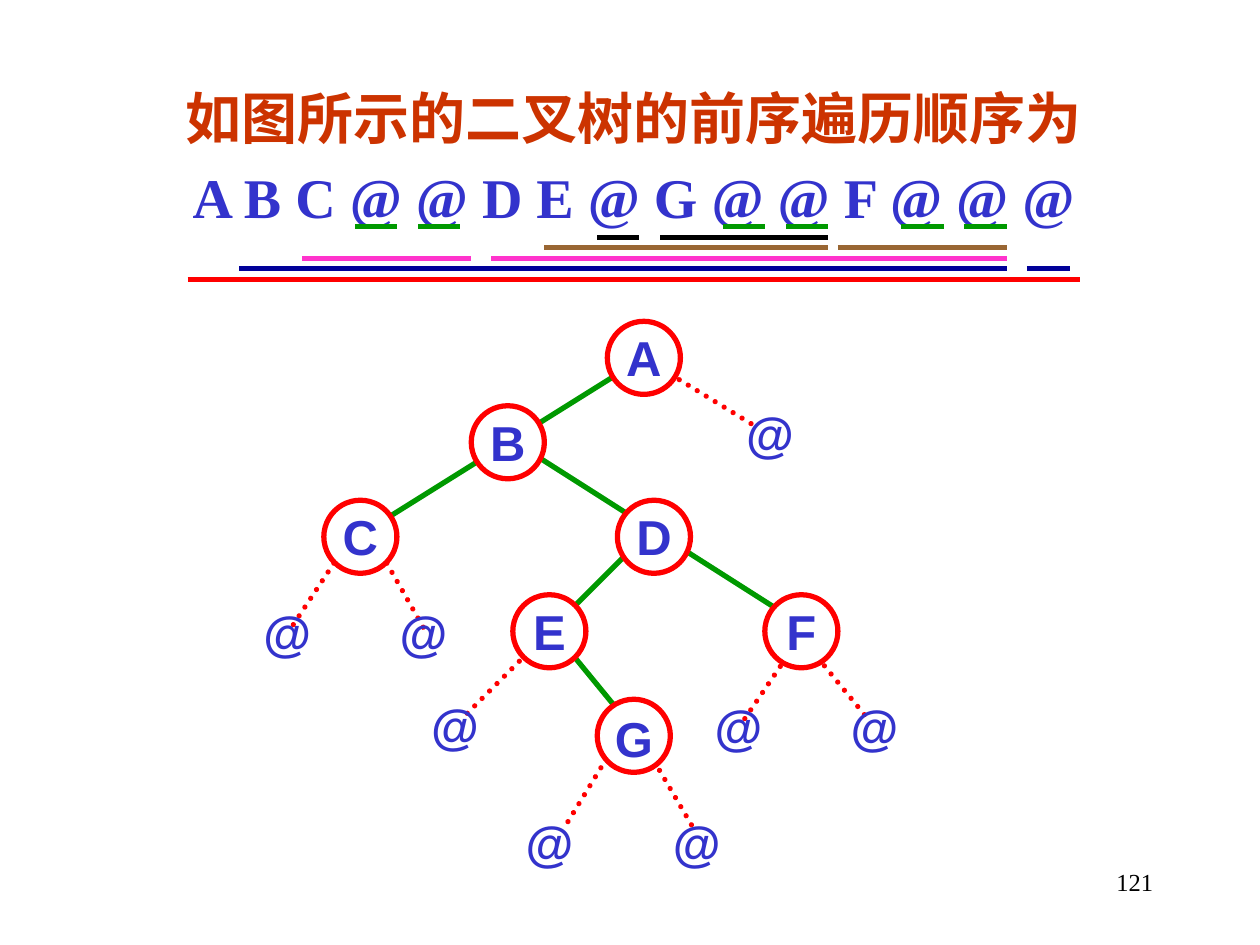
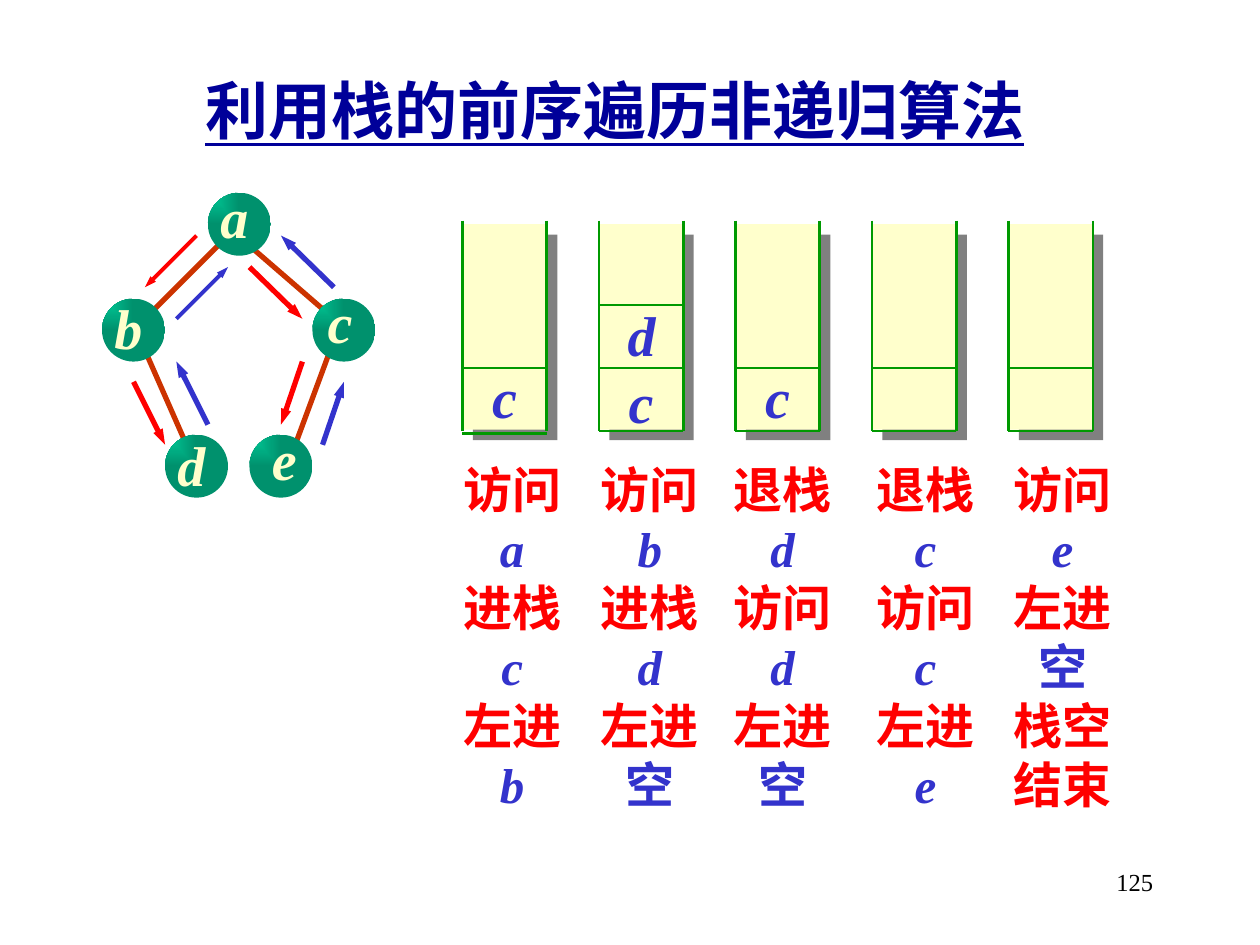
import pptx
import pptx.dml.color
import pptx.enum.dml
import pptx.enum.shapes
import pptx.enum.text
import pptx.oxml
import pptx.oxml.ns
import pptx.util
from lxml import etree

HUES = {"red": "FF0000", "green": "009900", "blue": "3333CC", "navy": "000099",
        "rust": "CC3300", "pink": "FF33CC", "brown": "996633", "black": "000000",
        "white": "FFFFFF", "cream": "FFFFCC", "grey": "808080", "jade": "00CC99"}
SERIF, SANS = "Times New Roman", "Arial"
KINDS = pptx.enum.shapes.MSO_SHAPE
ALIGN = pptx.enum.text.PP_ALIGN
MIDDLE = pptx.enum.text.MSO_ANCHOR.MIDDLE
BALL = f"""<a:gradFill rotWithShape="1" xmlns:a="http://schemas.openxmlformats.org/drawingml/2006/main">
<a:gsLst><a:gs pos="0"><a:srgbClr val="{HUES['jade']}"/></a:gs>
<a:gs pos="100000"><a:srgbClr val="{HUES['jade']}"><a:shade val="46275"/></a:srgbClr></a:gs></a:gsLst>
<a:path path="rect"><a:fillToRect r="100000" b="100000"/></a:path></a:gradFill>"""


def inch(num):
    return pptx.util.Cm(num * 2.54)


def hue(name):
    return pptx.dml.color.RGBColor.from_string(HUES[name])


def add(node, tag, **attrs):
    return etree.SubElement(node, pptx.oxml.ns.qn(tag), attrs)


class Deck:
    """Hold the shared style and the current slide."""

    def __init__(self):
        self.show = pptx.Presentation()
        self.show.slide_width, self.show.slide_height = inch(10), inch(7.5)
        self.slide = None

    def page(self, number):
        self.slide = self.show.slides.add_slide(self.show.slide_layouts[6])
        self.text((7.17, 6.83, 2.08, 0.5), [number], 14, "black", bold=False,
                  align=ALIGN.RIGHT, anchor=None, grow=False)

    def text(self, box, rows, size, tint, face=SERIF, bold=True, slant=False,
             align=ALIGN.CENTER, anchor=MIDDLE, wrap=True, grow=True):
        frame = self.slide.shapes.add_textbox(*map(inch, box)).text_frame
        frame.word_wrap = wrap
        if grow:
            frame.auto_size = pptx.enum.text.MSO_AUTO_SIZE.SHAPE_TO_FIT_TEXT
        if anchor is not None:
            frame.vertical_anchor = anchor
        frame.text = "\n".join(rows)
        for para in frame.paragraphs:
            para.alignment = align
            font = para.font
            font.name, font.size = face, pptx.util.Pt(size)
            font.bold, font.italic = bold, slant
            font.color.rgb = hue(tint)
        return frame.paragraphs

    def line(self, x1, y1, x2, y2, tint, width=3, dots=False, arrow=False):
        link = self.slide.shapes.add_connector(
            pptx.enum.shapes.MSO_CONNECTOR.STRAIGHT, *map(inch, (x1, y1, x2, y2)))
        link.line.color.rgb = hue(tint)
        link.line.width = pptx.util.Pt(width)
        props = link.element.spPr
        pen = props.find(pptx.oxml.ns.qn("a:ln"))
        if dots:
            link.line.dash_style = pptx.enum.dml.MSO_LINE.ROUND_DOT
            pen.set("cap", "rnd")
        if arrow:
            add(pen, "a:tailEnd", type="triangle", w="sm", len="med")
        add(props, "a:effectLst")

    def shape(self, kind, box):
        form = self.slide.shapes.add_shape(kind, *map(inch, box))
        form.shadow.inherit = False
        form.line.fill.background()
        return form

    def ring(self, x, y):
        form = self.shape(KINDS.OVAL, (x, y, 0.58, 0.58))
        form.fill.solid()
        form.fill.fore_color.rgb = hue("white")
        form.line.color.rgb = hue("red")
        form.line.width = pptx.util.Pt(3)

    def label(self, sign, x, y):
        self.text((x, y, 0.58, 0.57), [sign], 28, "blue", SANS)

    def ball(self, x, y):
        form = self.shape(KINDS.OVAL, (x, y, 0.5, 0.5))
        geom = form.element.spPr.find(pptx.oxml.ns.qn("a:prstGeom"))
        geom.addnext(pptx.oxml.parse_xml(BALL))

    def stack(self, x, items, base):
        form = self.shape(KINDS.RECTANGLE, (x, 1.78, 0.67, 1.63))
        form.fill.solid()
        form.fill.fore_color.rgb = hue("cream")
        glow = add(form.element.spPr.find(pptx.oxml.ns.qn("a:effectLst")), "a:outerShdw",
                   dist="107950", dir="2700000", algn="ctr", rotWithShape="0")
        add(glow, "a:srgbClr", val=HUES["grey"])
        count = len(items)
        if items:
            self.text((x + 0.13, 3.33 - 0.5 * count, 0.41, 0.09 + 0.54 * count),
                      items, 32, "blue", slant=True, wrap=False)
        for side in (x, x + 0.67):
            self.line(side, 1.75, side, 3.42, "green", 1.5)
        for level in [base] + [3.42 - 0.5 * n for n in range(1, max(count, 1) + 1)]:
            self.line(x, level, x + 0.67, level, "green", 1.5)

    def steps(self, x, width, words):
        paras = self.text((x, 3.6, width, 2.9), words, 28, "red")
        for word, para in zip(words, paras):
            if len(word) == 1:
                para.font.color.rgb = hue("blue")
                para.font.italic = word.isascii()


def draw_order(deck):
    deck.page("121")
    for ends in [(4.24, 5.13, 3.65, 5.72), (4.9, 5.88, 4.49, 6.55), (5.15, 5.97, 5.49, 6.55),
                 (2.65, 4.47, 2.32, 4.97), (3.07, 4.47, 3.4, 5.05), (6.49, 5.22, 6.9, 5.72),
                 (5.32, 2.97, 5.99, 3.38), (6.24, 5.22, 5.9, 5.72)]:
        deck.line(*ends, "red", dots=True)
    for ends in [(4.49, 5.13, 4.9, 5.63), (4.99, 4.38, 4.4, 4.97),
                 (4.15, 3.55, 6.24, 4.88), (4.9, 2.97, 2.9, 4.22)]:
        deck.line(*ends, "green")

    head = deck.text((1.07, 0.61, 7.92, 1.27),
                     ["如图所示的二叉树的前序遍历顺序为", "A B C @ @ D E @ G @ @ F @ @ @"], 32, "rust")
    head[1].font.color.rgb = hue("blue")
    head[1].space_before = pptx.util.Pt(6.4)

    nodes = {"A": (4.82, 2.55), "B": (3.74, 3.22), "C": (2.57, 3.97), "D": (4.9, 3.97),
             "E": (4.07, 4.72), "F": (6.07, 4.72), "G": (4.74, 5.55)}
    for sign, (x, y) in nodes.items():
        deck.ring(x, y)
        deck.label(sign, x, y + (0.02 if sign == "G" else 0))
    for spot in [(1.99, 4.73), (3.07, 4.73), (3.32, 5.47), (4.07, 6.4),
                 (5.24, 6.4), (5.57, 5.48), (6.65, 5.48), (5.82, 3.15)]:
        deck.label("@", *spot)

    bars = [("green", [(2.82, 3.15), (3.32, 3.65), (5.74, 6.07), (6.24, 6.57),
                       (7.15, 7.49), (7.65, 7.99)]),
            ("black", [(4.74, 5.07), (5.24, 6.57)]),
            ("brown", [(4.32, 6.57), (6.65, 7.99)]),
            ("pink", [(2.4, 3.74), (3.9, 7.99)]),
            ("navy", [(1.9, 7.99), (8.15, 8.49)]),
            ("red", [(1.49, 8.57)])]
    for row, (tint, spans) in enumerate(bars):
        y = 1.8 + row / 12
        for start, end in spans:
            deck.line(start, y, end, y, tint)


def draw_stacks(deck):
    deck.page("125")
    title = deck.text((1.53, 0.52, 6.93, 0.7), ["利用栈的前序遍历非递归算法"], 36, "navy",
                      align=ALIGN.LEFT, anchor=None)
    title[0].font.underline = True

    for ends in [(2.65, 2.7, 2.31, 3.62), (1.15, 2.78, 1.48, 3.53),
                 (1.98, 1.95, 2.65, 2.53), (1.73, 1.95, 1.15, 2.53)]:
        deck.line(*ends, "rust")
    for spot in [(1.65, 1.53), (0.81, 2.37), (1.98, 3.45), (2.48, 2.37), (1.31, 3.45)]:
        deck.ball(*spot)
    for sign, x, y, width in [("a", 1.65, 1.4, 0.42), ("b", 0.81, 2.28, 0.42),
                              ("c", 2.5, 2.23, 0.4), ("d", 1.31, 3.37, 0.42),
                              ("e", 2.06, 3.32, 0.25)]:
        deck.text((x, y, width, 0.63), [sign], 32, "cream", slant=True, wrap=sign in "de")

    walk = {"red": [(1.56, 1.87, 1.15, 2.28, 2.25), (1.06, 3.03, 1.31, 3.53, 3),
                    (1.98, 2.12, 2.4, 2.53, 3), (2.4, 2.87, 2.23, 3.37, 3)],
            "blue": [(1.65, 3.37, 1.4, 2.87, 3), (1.4, 2.53, 1.81, 2.12, 2.25),
                     (2.56, 3.53, 2.73, 3.03, 3), (2.65, 2.28, 2.23, 1.87, 3)]}
    for tint, moves in walk.items():
        for *ends, width in moves:
            deck.line(*ends, tint, width, arrow=True)

    stages = [("c", 3.44, 1.09, "访问 a 进栈 c 左进 b"),
              ("dc", 3.42, 1.11, "访问 b 进栈 d 左进 空"),
              ("c", 3.42, 1.05, "退栈 d 访问 d 左进 空"),
              ("", 3.42, 1.15, "退栈 c 访问 c 左进 e"),
              ("", 3.42, 1.16, "访问 e 左进 空 栈空 结束")]
    for col, (items, base, width, words) in enumerate(stages):
        shift = col * 13 / 12
        deck.stack(3.67 + shift, list(items), base)
        deck.steps(3.52 + shift, width, words.split())


def main():
    deck = Deck()
    draw_order(deck)
    draw_stacks(deck)
    deck.show.save("out.pptx")


if __name__ == "__main__":
    main()
